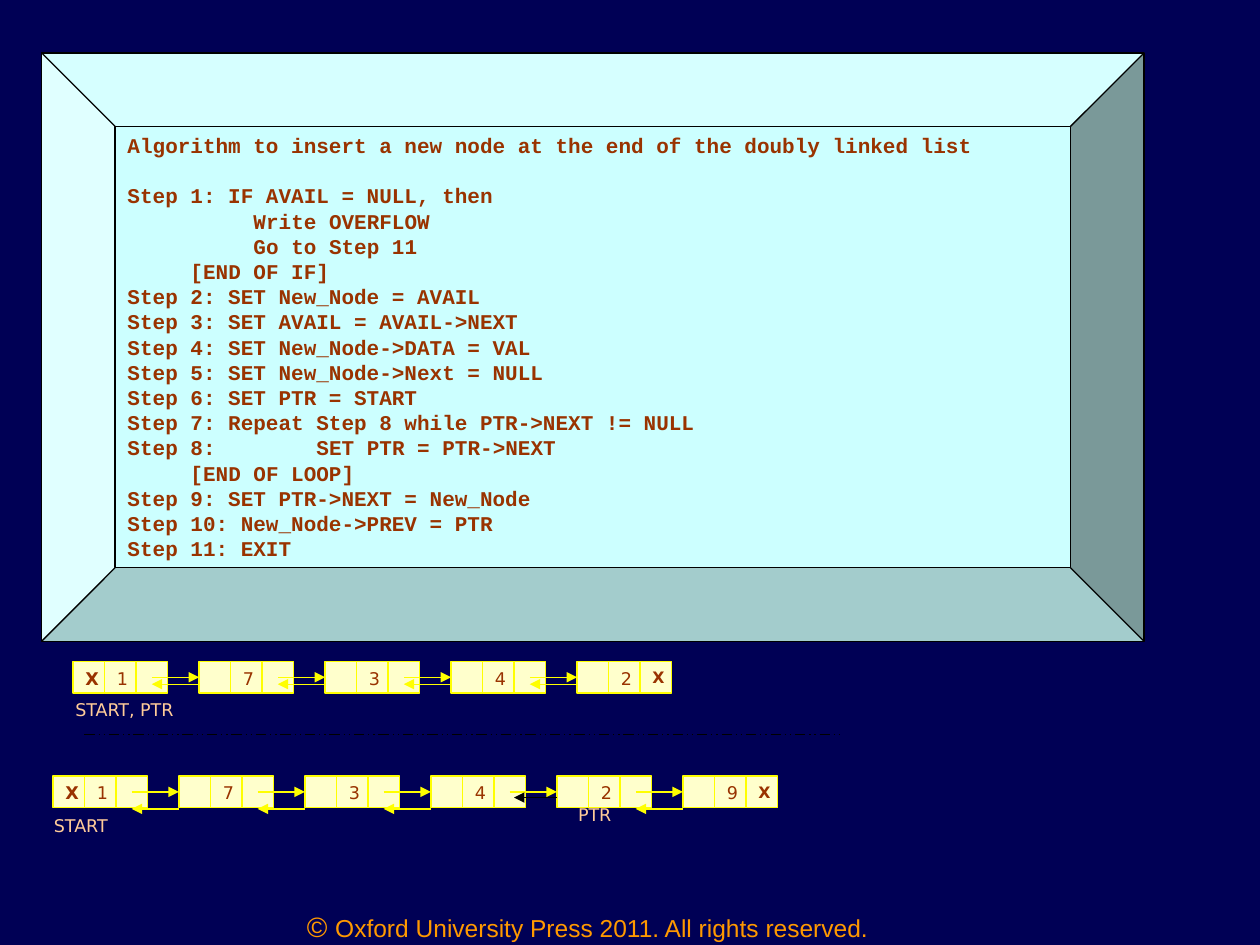
from lxml import etree
from pptx import Presentation
from pptx.dml.color import RGBColor
from pptx.enum.dml import MSO_LINE
from pptx.enum.shapes import MSO_CONNECTOR, MSO_SHAPE
from pptx.enum.text import MSO_ANCHOR, PP_ALIGN
from pptx.oxml.ns import qn
from pptx.util import Inches, Pt

NAVY, BLACK, YELLOW, CREAM = "000055", "000000", "FFFF00", "FFFFCC"
CYAN, BROWN, PEACH, ORANGE = "CCFFFF", "993300", "FFCC99", "FF9900"
CELL = 0.25   # side of one node field
PITCH = 1     # distance between nodes

HEADING = "Algorithm to insert a new node at the end of the doubly linked list"
STEPS = [
    "Step 1: IF AVAIL = NULL, then",
    "\t\tWrite OVERFLOW",
    "\t\tGo to Step 11",
    "\t[END OF IF]",
    "Step 2: SET New_Node = AVAIL",
    "Step 3: SET AVAIL = AVAIL->NEXT",
    "Step 4: SET New_Node->DATA = VAL",
    "Step 5: SET New_Node->Next = NULL",
    "Step 6: SET PTR = START",
    "Step 7: Repeat Step 8 while PTR->NEXT != NULL",
    "Step 8: \t\tSET PTR = PTR->NEXT",
    "\t[END OF LOOP]",
    "Step 9: SET PTR->NEXT = New_Node",
    "Step 10: New_Node->PREV = PTR",
    "Step 11: EXIT",
]


def rgb(color):
    return RGBColor.from_string(color)


def style_run(r, size, color, name="DejaVu Sans", bold=False):
    r.font.size, r.font.bold, r.font.name = Pt(size), bold, name
    r.font.color.rgb = rgb(color)


def add_box(shapes, kind, x, y, w, h, fill, line):
    sp = shapes.add_shape(kind, Inches(x), Inches(y), Inches(w), Inches(h))
    sp.shadow.inherit = False
    sp.fill.solid()
    sp.fill.fore_color.rgb = rgb(fill)
    sp.line.color.rgb = rgb(line)
    sp.line.width = Pt(0.75)
    return sp


def add_line(shapes, x1, y1, x2, y2, color, arrow=True):
    ln = shapes.add_connector(MSO_CONNECTOR.STRAIGHT, Inches(x1), Inches(y1),
                              Inches(x2), Inches(y2))
    ln.line.color.rgb = rgb(color)
    ln.line.width = Pt(0.75)
    sp_pr = ln._element.spPr
    if arrow:
        etree.SubElement(sp_pr.get_or_add_ln(), qn("a:tailEnd"), type="triangle")
    etree.SubElement(sp_pr, qn("a:effectLst"))
    return ln


def add_cell(shapes, x, y, text="", size=10, bold=False):
    sp = add_box(shapes, MSO_SHAPE.RECTANGLE, x, y, CELL, CELL, CREAM, YELLOW)
    if text:
        tf = sp.text_frame
        tf.text = text
        tf.vertical_anchor = MSO_ANCHOR.TOP
        tf.paragraphs[0].alignment = PP_ALIGN.LEFT
        style_run(tf.paragraphs[0].runs[0], size, BROWN, bold=bold)
    return sp


def add_label(slide, x, y, text):
    tf = slide.shapes.add_textbox(Inches(x), Inches(y), Inches(2), Inches(0.27)).text_frame
    tf.word_wrap = True
    tf.vertical_anchor = MSO_ANCHOR.MIDDLE
    tf.text = text
    style_run(tf.paragraphs[0].runs[0], 10, PEACH)


def add_algorithm(slide, x, y, w, h):
    sp = add_box(slide.shapes, MSO_SHAPE.BEVEL, x, y, w, h, CYAN, BLACK)
    tf = sp.text_frame
    tf.vertical_anchor = MSO_ANCHOR.TOP
    tf.text = "\n".join([HEADING] + STEPS)
    for p in tf.paragraphs:
        p.alignment = PP_ALIGN.LEFT
        p.line_spacing = Pt(14.4)
        style_run(p.runs[0], 12, BROWN, "Courier New", True)
    tf.paragraphs[1].space_before = Pt(14.4)


def add_linked_list(slide, x, y, values, back_dy, new_link=None):
    """Draw nodes of three fields; new_link is the node whose back link is black."""
    shapes = slide.shapes.add_group_shape().shapes
    last = len(values) - 1
    prev_cells = []
    for i, value in enumerate(values):
        left = x + i * PITCH
        add_cell(shapes, left + CELL, y, value)
        add_cell(shapes, left + 2 * CELL, y, "X" if i == last else "", 9, True)
        prev_cells.append(add_cell(shapes, left, y, "" if i else "X", 10, True))
    # Forward and backward links
    for i, cell in enumerate(prev_cells[1:]):
        start, end = x + i * PITCH + 2.5 * CELL, x + (i + 1) * PITCH
        ln = add_line(shapes, start, y + CELL / 2, end, y + CELL / 2, YELLOW)
        ln.end_connect(cell, 1)
        if i != new_link:
            add_line(shapes, end, y + back_dy, start, y + back_dy, YELLOW)
    if new_link is not None:
        end = x + (new_link + 1) * PITCH
        add_line(slide.shapes, end, y + 0.17, end - 0.34, y + 0.17, BLACK)


def add_footer(slide, x, y, w, h):
    tf = slide.shapes.add_textbox(Inches(x), Inches(y), Inches(w), Inches(h)).text_frame
    tf.word_wrap = True
    p = tf.paragraphs[0]
    p.alignment = PP_ALIGN.CENTER
    for text, size in (("© ", 16),
                       ("Oxford University Press 2011. All rights reserved.", 14)):
        r = p.add_run()
        r.text = text
        style_run(r, size, ORANGE, "Arial")


def main():
    prs = Presentation()
    prs.slide_width, prs.slide_height = Inches(10), Inches(7.5)
    slide = prs.slides.add_slide(prs.slide_layouts[6])
    slide.background.fill.solid()
    slide.background.fill.fore_color.rgb = rgb(NAVY)

    add_footer(slide, 2, 7.17, 5.33, 0.33)
    add_algorithm(slide, 0.33, 0.42, 8.75, 4.67)

    # List before the insertion
    add_linked_list(slide, 0.58, 5.25, "17342", 0.18)
    add_label(slide, 0.5, 5.5, "START, PTR")

    # Divider
    ln = add_line(slide.shapes, 0.67, 5.83, 6.67, 5.83, BLACK, arrow=False)
    ln.line.dash_style = MSO_LINE.DASH_DOT_DOT

    # List after the insertion
    add_linked_list(slide, 0.42, 6.16, "173429", 0.26, new_link=3)
    add_label(slide, 0.33, 6.42, "START")
    add_label(slide, 4.49, 6.33, "PTR")

    prs.save("out.pptx")


if __name__ == "__main__":
    main()
